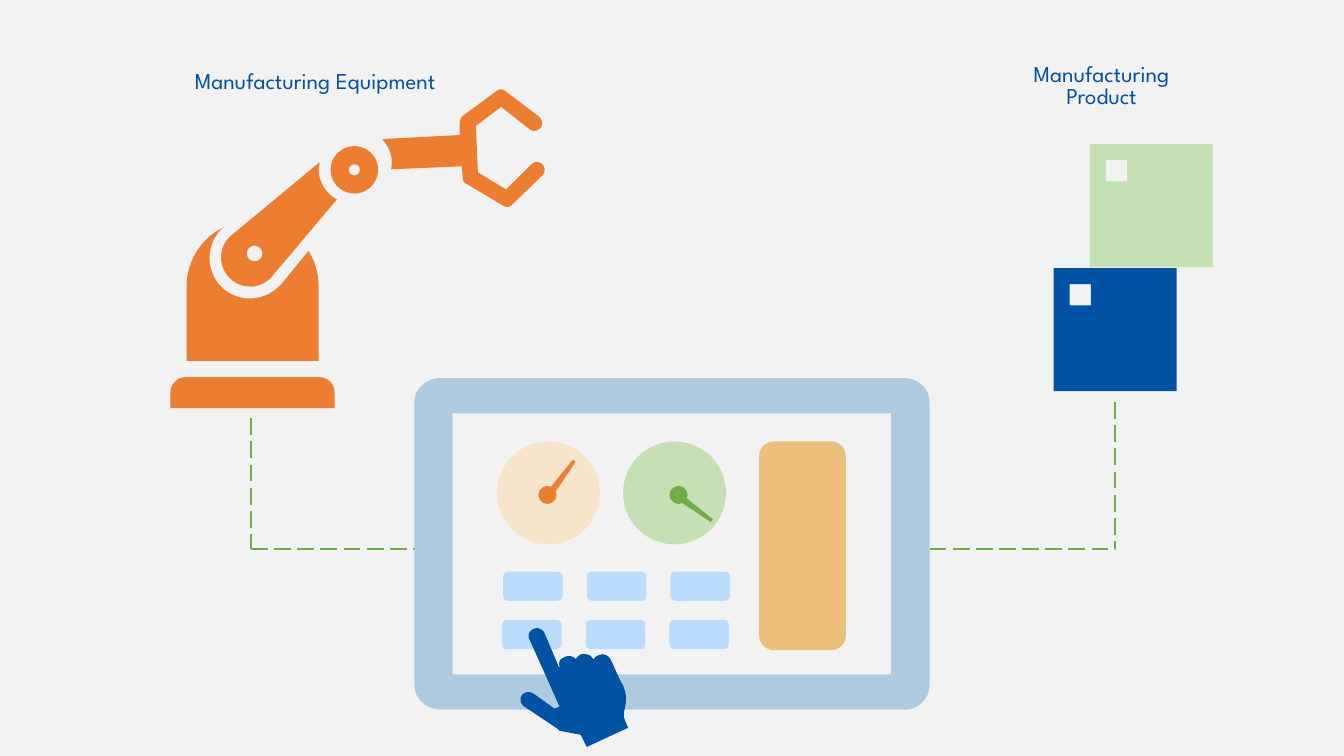
from dataclasses import dataclass

from lxml import etree
from pptx import Presentation
from pptx.dml.color import RGBColor
from pptx.enum.dml import MSO_LINE
from pptx.enum.shapes import MSO_CONNECTOR, MSO_SHAPE
from pptx.enum.text import MSO_ANCHOR, PP_ALIGN
from pptx.oxml.ns import qn
from pptx.slide import Slide
from pptx.util import Inches, Pt

STRAIGHT = MSO_CONNECTOR.STRAIGHT
LONG_DASH = MSO_LINE.LONG_DASH
ELLIPSE = MSO_SHAPE.OVAL
DONUT = MSO_SHAPE.DONUT
TRAPEZOID = MSO_SHAPE.TRAPEZOID
ROUNDED = MSO_SHAPE.ROUNDED_RECTANGLE
ROUNDED_TOP = MSO_SHAPE.ROUND_2_SAME_RECTANGLE
MIDDLE = MSO_ANCHOR.MIDDLE
CENTER = PP_ALIGN.CENTER

FONT = "League Spartan"
CURVE_STEPS = 8
COLORS = {
    "background": "F2F2F2", "orange": "ED7D31", "green": "70AD47",
    "pale green": "C5E0B4", "cream": "F7E5CB", "blue": "0052A5",
    "tablet": "AFCBE0", "button": "BADCFF", "tank": "ECBF7C",
}

# A segment is the end of a line (x, y) or a cubic curve (x1, y1, x2, y2, x, y).
Segment = tuple[float, ...]
Contour = list[Segment]


@dataclass
class Label:
    left: float
    top: float
    lines: list[str]


@dataclass
class Gauge:
    face_left: float
    face_color: str
    hub_left: float
    needle_left: float
    needle_top: float
    needle_angle: float
    color: str


@dataclass
class Product:
    left: float
    top: float
    color: str


CLAW: Contour = [
    (5.02, .91), (4.99, .88, 4.96, .88, 4.93, .9), (4.59, 1.15),
    (4.57, 1.17, 4.56, 1.19, 4.56, 1.22), (4.56, 1.34), (3.79, 1.38),
    (3.87, 1.46, 3.9, 1.57, 3.88, 1.68), (4.58, 1.65), (4.59, 1.76),
    (4.59, 1.79, 4.6, 1.81, 4.62, 1.82), (4.99, 2.04),
    (5.02, 2.06, 5.06, 2.06, 5.08, 2.03), (5.38, 1.74),
    (5.41, 1.71, 5.41, 1.66, 5.38, 1.63), (5.35, 1.6, 5.3, 1.6, 5.27, 1.63),
    (5.02, 1.88), (4.74, 1.71), (4.72, 1.25), (4.97, 1.06), (5.25, 1.28),
    (5.28, 1.31, 5.33, 1.3, 5.36, 1.27), (5.39, 1.24, 5.38, 1.19, 5.35, 1.16),
]
TOWER: Contour = [
    (3.16, 2.84), (3.16, 2.72, 3.13, 2.6, 3.06, 2.49), (2.79, 2.82),
    (2.64, 2.99, 2.39, 3.01, 2.22, 2.87), (2.05, 2.73, 2.03, 2.47, 2.17, 2.3),
    (2.18, 2.29, 2.2, 2.27, 2.22, 2.25), (2.23, 2.25),
    (2, 2.35, 1.85, 2.59, 1.85, 2.84), (1.85, 3.58), (3.16, 3.58),
]
ARM: Contour = [
    (3.16, 1.68), (3.16, 1.66, 3.17, 1.63, 3.17, 1.61), (2.29, 2.34),
    (2.17, 2.44, 2.16, 2.62, 2.26, 2.74), (2.36, 2.86, 2.54, 2.88, 2.66, 2.78),
    (2.67, 2.77, 2.69, 2.76, 2.7, 2.74), (3.34, 1.98),
    (3.23, 1.92, 3.16, 1.8, 3.16, 1.68),
]
ARM_PIVOT: Contour = [
    (2.58, 2.57), (2.55, 2.6, 2.5, 2.6, 2.47, 2.57),
    (2.44, 2.54, 2.44, 2.49, 2.47, 2.46), (2.5, 2.43, 2.55, 2.43, 2.58, 2.46),
    (2.61, 2.49, 2.61, 2.54, 2.58, 2.57),
]
TABLET: Contour = [
    (4.37, 3.75), (8.97, 3.75), (9.11, 3.75, 9.22, 3.86, 9.22, 3.98),
    (9.22, 6.8), (9.22, 6.93, 9.11, 7.04, 8.97, 7.04), (4.37, 7.04),
    (4.23, 7.04, 4.11, 6.93, 4.11, 6.8), (4.11, 3.98),
    (4.11, 3.86, 4.23, 3.75, 4.37, 3.75),
]
SCREEN: Contour = [(4.49, 4.1), (4.49, 6.69), (8.84, 6.69), (8.84, 4.1)]
HAND: Contour = [
    (6.2, 7.15), (6.15, 7.05, 6.26, 6.99, 6.18, 6.8),
    (6.15, 6.76, 6.09, 6.61, 6.06, 6.55), (6.04, 6.5, 5.98, 6.48, 5.94, 6.5),
    (5.91, 6.51, 5.9, 6.52, 5.89, 6.54), (5.88, 6.54, 5.88, 6.53, 5.87, 6.52),
    (5.85, 6.5, 5.83, 6.49, 5.8, 6.49), (5.76, 6.48, 5.73, 6.51, 5.71, 6.54),
    (5.68, 6.5, 5.62, 6.5, 5.58, 6.53), (5.55, 6.54, 5.54, 6.58, 5.55, 6.61),
    (5.55, 6.62, 5.54, 6.62, 5.54, 6.61), (5.4, 6.28),
    (5.38, 6.24, 5.33, 6.22, 5.29, 6.24), (5.25, 6.26, 5.23, 6.3, 5.25, 6.34),
    (5.55, 7.01), (5.5, 7.03), (5.29, 6.88),
    (5.26, 6.86, 5.21, 6.86, 5.18, 6.89), (5.15, 6.93, 5.16, 6.98, 5.2, 7.01),
    (5.53, 7.23), (5.55, 7.25), (5.76, 7.29), (5.82, 7.41), (6.23, 7.22),
]
WIRES = [
    (2.49, 5.45, 4.32, 5.45), (2.49, 4.15, 2.49, 5.45),
    (9.22, 5.45, 11.06, 5.45), (11.06, 3.99, 11.06, 5.45),
]
LABELS = [
    Label(1.71, 0.55, ["Manufacturing Equipment"]),
    Label(9.51, 0.59, ["Manufacturing", "Product"]),
]
GAUGES = [
    Gauge(4.93, "cream", 5.34, 5.54, 4.53, 36.3, "orange"),
    Gauge(6.18, "pale green", 6.64, 6.86, 4.84, 126.3, "green"),
]
PRODUCTS = [Product(10.45, 2.66, "blue"), Product(10.81, 1.43, "pale green")]


def color_of(name: str) -> RGBColor:
    return RGBColor.from_string(COLORS[name])


def paint(shape, color: str) -> None:
    shape.shadow.inherit = False
    shape.fill.solid()
    shape.fill.fore_color.rgb = color_of(color)
    shape.line.fill.background()


def add_preset(page: Slide, kind: MSO_SHAPE, left: float, top: float,
               width: float, height: float, color: str):
    shape = page.shapes.add_shape(
        kind, Inches(left), Inches(top), Inches(width), Inches(height))
    paint(shape, color)
    return shape


def flatten(contour: Contour) -> list[tuple[int, int]]:
    """Turn lines and curves into a run of points in EMU."""
    points = [contour[0]]
    for segment in contour[1:]:
        if len(segment) == 2:
            points.append(segment)
            continue
        x0, y0 = points[-1]
        x1, y1, x2, y2, x3, y3 = segment
        for step in range(1, CURVE_STEPS + 1):
            t = step / CURVE_STEPS
            a, b, c, d = (1 - t) ** 3, 3 * t * (1 - t) ** 2, 3 * t * t * (1 - t), t ** 3
            points.append((a * x0 + b * x1 + c * x2 + d * x3,
                           a * y0 + b * y1 + c * y2 + d * y3))
    return [(Inches(x), Inches(y)) for x, y in points]


def add_outline(page: Slide, color: str, outer: Contour, hole: Contour | None = None) -> None:
    start, *rest = flatten(outer)
    builder = page.shapes.build_freeform(*start)
    builder.add_line_segments(rest, close=True)
    if hole:
        start, *rest = flatten(hole)
        builder.move_to(*start)
        builder.add_line_segments(rest, close=True)
    paint(builder.convert_to_shape(), color)


def square(left: float, top: float, side: float) -> Contour:
    right, bottom = left + side, top + side
    return [(left, top), (left, bottom), (right, bottom), (right, top)]


def add_wire(page: Slide, x1: float, y1: float, x2: float, y2: float) -> None:
    wire = page.shapes.add_connector(
        STRAIGHT, Inches(x1), Inches(y1), Inches(x2), Inches(y2))
    wire.line.color.rgb = color_of("green")
    wire.line.width = Pt(1.5)
    wire.line.dash_style = LONG_DASH
    etree.SubElement(wire._element.spPr, qn("a:effectLst"))


def add_gauge(page: Slide, gauge: Gauge) -> None:
    add_preset(page, ELLIPSE, gauge.face_left, 4.38, 1.02, 1.02, gauge.face_color)
    add_preset(page, ELLIPSE, gauge.hub_left, 4.82, 0.18, 0.18, gauge.color)
    needle = add_preset(page, TRAPEZOID, gauge.needle_left, gauge.needle_top,
                        0.07, 0.41, gauge.color)
    needle.rotation = gauge.needle_angle


def add_label(page: Slide, label: Label) -> None:
    box = page.shapes.add_textbox(
        Inches(label.left), Inches(label.top), Inches(2.83), Inches(0.55))
    frame = box.text_frame
    frame.word_wrap = True
    frame.vertical_anchor = MIDDLE
    frame.text = "\n".join(label.lines)
    for para in frame.paragraphs:
        para.alignment = CENTER
        para.line_spacing = 0.8
        for span in para.runs:
            span.font.name = FONT
            span.font.size = Pt(16.2)
            span.font.color.rgb = color_of("blue")


def add_robot(page: Slide) -> None:
    add_outline(page, "orange", CLAW)
    add_outline(page, "orange", TOWER)
    add_outline(page, "orange", ARM, ARM_PIVOT)
    base = add_preset(page, ROUNDED_TOP, 1.69, 3.74, 1.63, 0.31, "orange")
    base.adjustments[0] = 0.5
    joint = add_preset(page, DONUT, 3.28, 1.45, 0.47, 0.47, "orange")
    joint.adjustments[0] = 0.38


def add_control_panel(page: Slide) -> None:
    add_outline(page, "tablet", TABLET, SCREEN)
    for gauge in GAUGES:
        add_gauge(page, gauge)
    for row in range(2):
        for column in range(3):
            add_preset(page, ROUNDED, 4.99 + 0.83 * column - 0.01 * row,
                       5.67 + 0.48 * row, 0.59, 0.29, "button")
    add_preset(page, ROUNDED, 7.53, 4.38, 0.86, 2.07, "tank")
    add_outline(page, "blue", HAND)


def main() -> None:
    deck = Presentation()
    deck.slide_width, deck.slide_height = Inches(13.33), Inches(7.5)
    page = deck.slides.add_slide(deck.slide_layouts[6])
    page.background.fill.solid()
    page.background.fill.fore_color.rgb = color_of("background")
    for wire in WIRES:
        add_wire(page, *wire)
    add_robot(page)
    add_control_panel(page)
    for label in LABELS:
        add_label(page, label)
    for product in PRODUCTS:
        add_outline(page, product.color, square(product.left, product.top, 1.22),
                    square(product.left + 0.16, product.top + 0.16, 0.21))
    deck.save("out.pptx")


if __name__ == "__main__":
    main()
